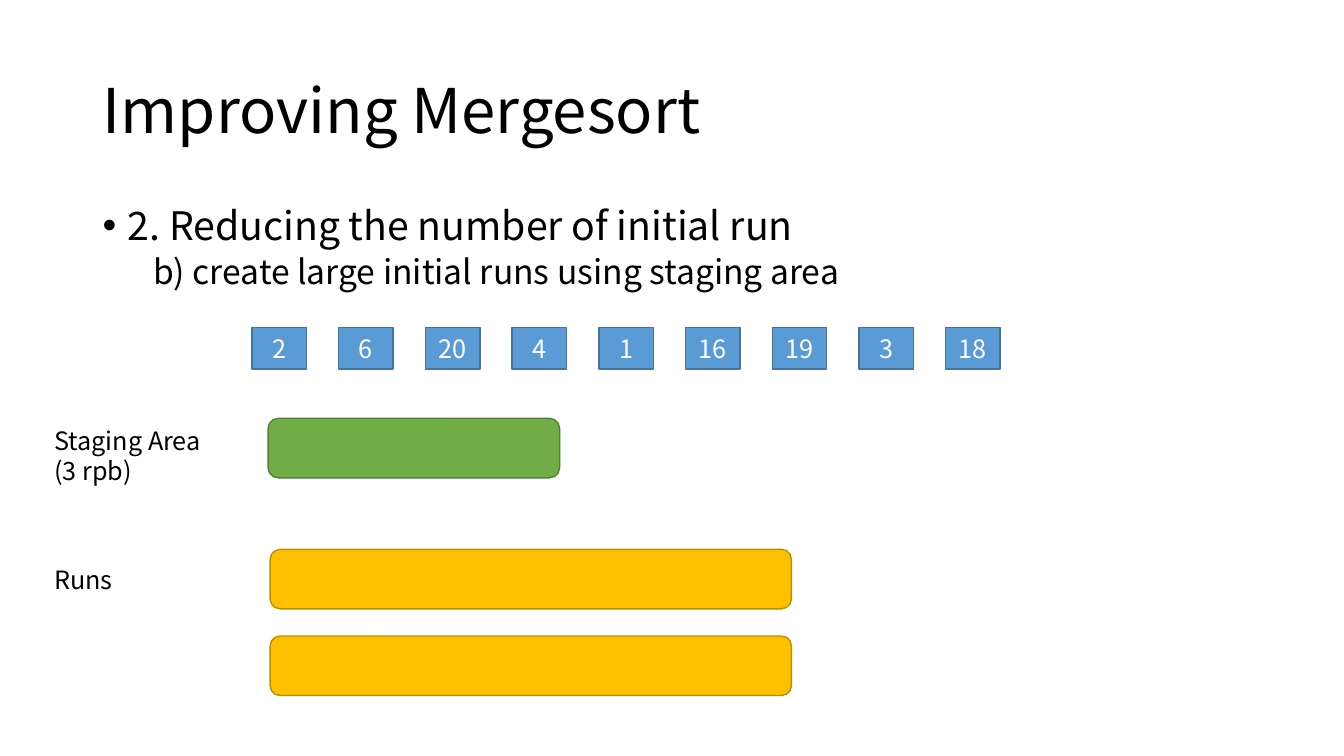
from pptx import Presentation
from pptx.dml.color import RGBColor
from pptx.enum.shapes import MSO_SHAPE
from pptx.enum.text import MSO_ANCHOR, PP_ALIGN
from pptx.oxml import parse_xml
from pptx.oxml.ns import nsdecls
from pptx.util import Inches, Pt

RECTANGLE = MSO_SHAPE.RECTANGLE
ROUNDED = MSO_SHAPE.ROUNDED_RECTANGLE
MIDDLE, TOP = MSO_ANCHOR.MIDDLE, MSO_ANCHOR.TOP
LEFT, CENTER = PP_ALIGN.LEFT, PP_ALIGN.CENTER

FONT = "Noto Sans CJK KR"
COLORS = {
    "text": "000000", "record_text": "FFFFFF",
    "record": "5B9BD5", "record_line": "43739E",
    "staging": "70AD47", "staging_line": "538035",
    "run": "FFC000", "run_line": "BD8E00",
}

TITLE = "Improving Mergesort"
POINTS = [
    {"text": "2. Reducing the number of initial run", "size": 28,
     "before": 10, "margin": 0.25, "indent": -0.25, "bullet": "•"},
    {"text": "b) create large initial runs using staging area", "size": 24,
     "before": 5, "margin": 0.5, "indent": 0, "bullet": None},
]
RECORDS = [2, 6, 20, 4, 1, 16, 19, 3, 18]
RECORD_LEFT, RECORD_TOP, RECORD_STEP = 2.5, 3.25, 0.86
RECORD_SIZE = (0.54, 0.41)
BARS = [
    ("staging", 2.66, 4.15, 2.89),
    ("run", 2.68, 5.45, 5.17),
    ("run", 2.68, 6.31, 5.17),
]
BAR_HEIGHT = 0.59
LABELS = [
    (["Staging Area", "(3 rpb)"], 4.17, 0.71),
    (["Runs"], 5.55, 0.4),
]


def color(name):
    return RGBColor.from_string(COLORS[name])


def write(paragraph, text, size, color_name="text", align=LEFT):
    paragraph.alignment = align
    run = paragraph.add_run()
    run.text = text
    run.font.name = FONT
    run.font.size = Pt(size)
    run.font.color.rgb = color(color_name)


def add_lines(frame, lines):
    for index, line in enumerate(lines):
        yield frame.add_paragraph() if index else frame.paragraphs[0], line


def add_block(slide, kind, box, style):
    shape = slide.shapes.add_shape(kind, *map(Inches, box))
    shape.shadow.inherit = False
    shape.fill.solid()
    shape.fill.fore_color.rgb = color(style)
    shape.line.color.rgb = color(style + "_line")
    shape.line.width = Pt(1)
    return shape


def add_text_box(slide, box):
    frame = slide.shapes.add_textbox(*map(Inches, box)).text_frame
    frame.word_wrap = True
    frame.vertical_anchor = TOP
    return frame


def add_title(slide):
    title = slide.shapes.title
    title.left, title.top, title.width, title.height = map(
        Inches, (0.92, 0.4, 11.5, 1.45))
    title.text_frame.vertical_anchor = MIDDLE
    paragraph = title.text_frame.paragraphs[0]
    paragraph.line_spacing = 0.9
    write(paragraph, TITLE, 44)


def add_points(slide):
    frame = add_text_box(slide, (0.92, 2, 11.5, 1.1))
    for paragraph, point in add_lines(frame, POINTS):
        paragraph.line_spacing = 0.9
        paragraph.space_before = Pt(point["before"])
        write(paragraph, point["text"], point["size"])
        properties = paragraph._p.get_or_add_pPr()
        properties.set("marL", str(Inches(point["margin"])))
        properties.set("indent", str(Inches(point["indent"])))
        if point["bullet"]:
            properties.append(parse_xml(
                f'<a:buFont {nsdecls("a")} typeface="Arial"/>'))
            properties.append(parse_xml(
                f'<a:buChar {nsdecls("a")} char="{point["bullet"]}"/>'))


def add_records(slide):
    for index, value in enumerate(RECORDS):
        left = RECORD_LEFT + index * RECORD_STEP
        shape = add_block(slide, RECTANGLE,
                          (left, RECORD_TOP, *RECORD_SIZE), "record")
        frame = shape.text_frame
        frame.vertical_anchor = MIDDLE
        frame.margin_left = frame.margin_right = 0
        write(frame.paragraphs[0], str(value), 18, "record_text", CENTER)


def main():
    presentation = Presentation()
    presentation.slide_width = Inches(13.33)
    presentation.slide_height = Inches(7.5)
    slide = presentation.slides.add_slide(presentation.slide_layouts[5])
    add_title(slide)
    add_points(slide)
    add_records(slide)
    for style, left, top, width in BARS:
        add_block(slide, ROUNDED, (left, top, width, BAR_HEIGHT), style)
    for lines, top, height in LABELS:
        frame = add_text_box(slide, (0.44, top, 2.05, height))
        for paragraph, line in add_lines(frame, lines):
            write(paragraph, line, 18)
    presentation.save("out.pptx")


if __name__ == "__main__":
    main()
